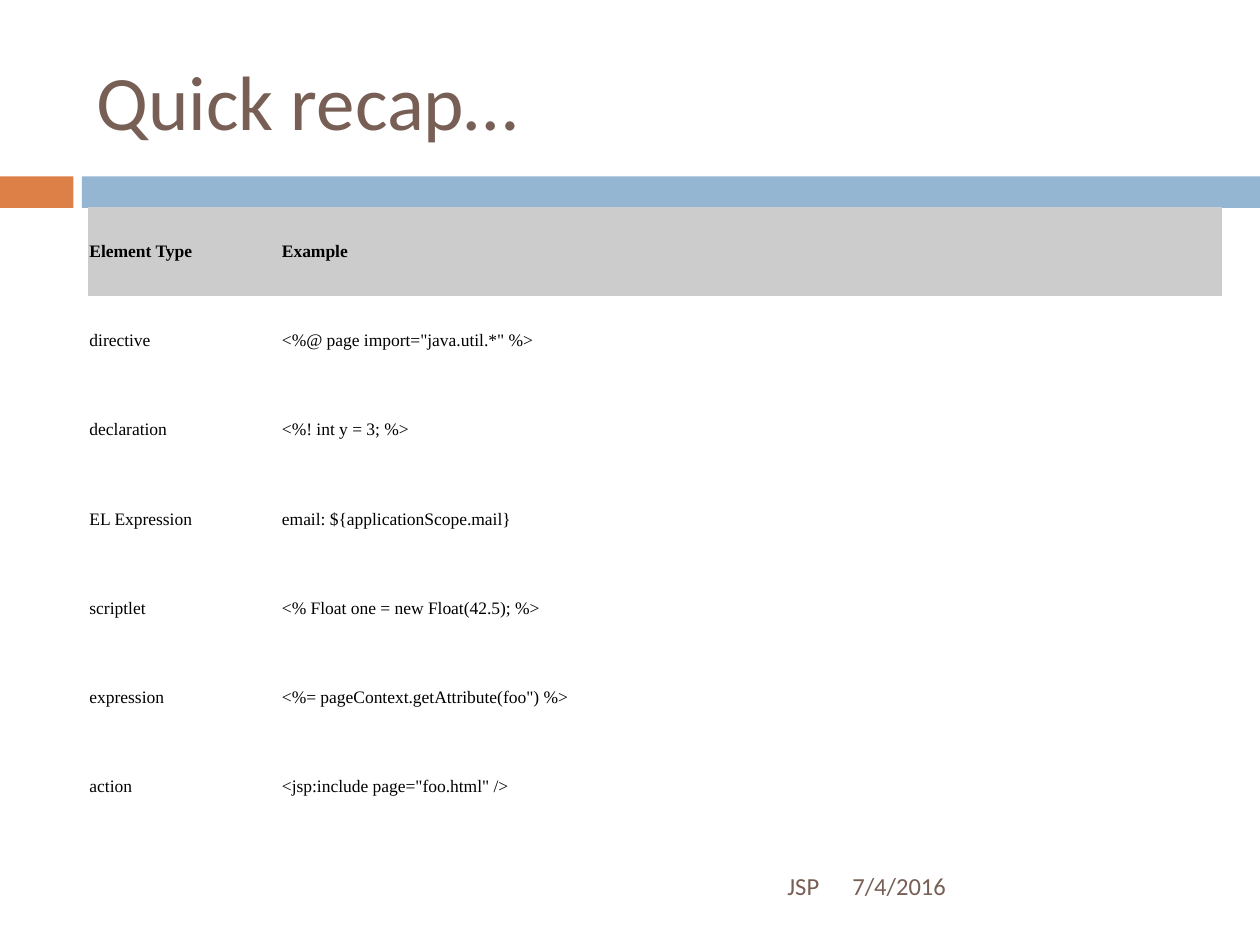
from pptx import Presentation
from pptx.dml.color import RGBColor
from pptx.enum.shapes import MSO_SHAPE
from pptx.enum.text import MSO_ANCHOR, PP_ALIGN
from pptx.oxml.ns import qn
from pptx.util import Pt

RECTANGLE = MSO_SHAPE.RECTANGLE
MIDDLE = MSO_ANCHOR.MIDDLE
LEFT, RIGHT = PP_ALIGN.LEFT, PP_ALIGN.RIGHT

BROWN = RGBColor(0x77, 0x5F, 0x55)
ORANGE = RGBColor(0xDD, 0x80, 0x47)
BLUE = RGBColor(0x94, 0xB6, 0xD2)
GRAY = RGBColor(0xCC, 0xCC, 0xCC)
BLACK = RGBColor(0, 0, 0)

NO_STYLE_NO_GRID = "{2D5ABB26-0587-4C30-8999-92F81FD0307C}"
CELL_MARGIN = Pt(0.75)

JSP_ELEMENTS = [
    ("Element Type", "Example"),
    ("directive", '<%@ page import="java.util.*" %>'),
    ("declaration", "<%! int y = 3; %>"),
    ("EL Expression", "email: ${applicationScope.mail}"),
    ("scriptlet", "<% Float one = new Float(42.5); %>"),
    ("expression", '<%= pageContext.getAttribute(foo") %>'),
    ("action", '<jsp:include page="foo.html" />'),
]


def write_text(frame, text, size=14, font="Calibri", color=BROWN,
               bold=False, align=LEFT):
    paragraph = frame.paragraphs[0]
    paragraph.alignment = align
    run = paragraph.add_run()
    run.text = text
    run.font.size = Pt(size)
    run.font.name = font
    run.font.bold = bold
    run.font.color.rgb = color


def add_label(slide, left, top, width, height, text, **text_format):
    label = slide.shapes.add_textbox(Pt(left), Pt(top), Pt(width), Pt(height))
    label.text_frame.word_wrap = True
    label.text_frame.vertical_anchor = MIDDLE
    write_text(label.text_frame, text, **text_format)


def add_band(slide, left, top, width, height, accent_width=42, gap=4.8):
    """Orange accent, then a blue bar over the rest of the width."""
    bar_offset = accent_width + gap
    for x, part_width, color in (
        (left, accent_width, ORANGE),
        (left + bar_offset, width - bar_offset, BLUE),
    ):
        bar = slide.shapes.add_shape(
            RECTANGLE, Pt(x), Pt(top), Pt(part_width), Pt(height))
        bar.shadow.inherit = False
        bar.fill.solid()
        bar.fill.fore_color.rgb = color
        bar.line.fill.background()


def add_footer(slide, left, top, width, height, date_width=210, gap=4.8):
    """Subject set right, against the date that follows it."""
    subject_width = width - date_width - gap
    add_label(slide, left + width - date_width, top, date_width, height,
              "7/4/2016")
    add_label(slide, left, top, subject_width, height, "JSP", align=RIGHT)


def add_element_table(slide, left, top, width, height, type_width=110):
    table = slide.shapes.add_table(
        len(JSP_ELEMENTS), 2, Pt(left), Pt(top), Pt(width), Pt(height)).table
    table.horz_banding = False
    # Plain style, without grid lines
    table._tbl.tblPr.find(qn("a:tableStyleId")).text = NO_STYLE_NO_GRID

    table.columns[0].width = Pt(type_width)
    table.columns[1].width = Pt(width - type_width)

    for row_index, entries in enumerate(JSP_ELEMENTS):
        is_header = row_index == 0
        table.rows[row_index].height = Pt(height / len(JSP_ELEMENTS))
        for column_index, entry in enumerate(entries):
            cell = table.cell(row_index, column_index)
            cell.margin_left = cell.margin_right = CELL_MARGIN
            cell.margin_top = cell.margin_bottom = CELL_MARGIN
            cell.vertical_anchor = MIDDLE
            if is_header:
                cell.fill.solid()
                cell.fill.fore_color.rgb = GRAY
            else:
                cell.fill.background()
            write_text(cell.text_frame, entry, size=10,
                       font="Times New Roman", color=BLACK, bold=is_header)


def main():
    presentation = Presentation()
    presentation.slide_width = Pt(720)
    presentation.slide_height = Pt(540)
    slide = presentation.slides.add_slide(presentation.slide_layouts[6])

    add_band(slide, 0, 100.8, 720, 18)
    add_label(slide, 48, 18, 642, 78, "Quick recap…", size=44)
    add_footer(slide, 48, 492, 642, 28.8)
    add_element_table(slide, 50.4, 118.2, 648, 357)

    presentation.save("out.pptx")


if __name__ == "__main__":
    main()
